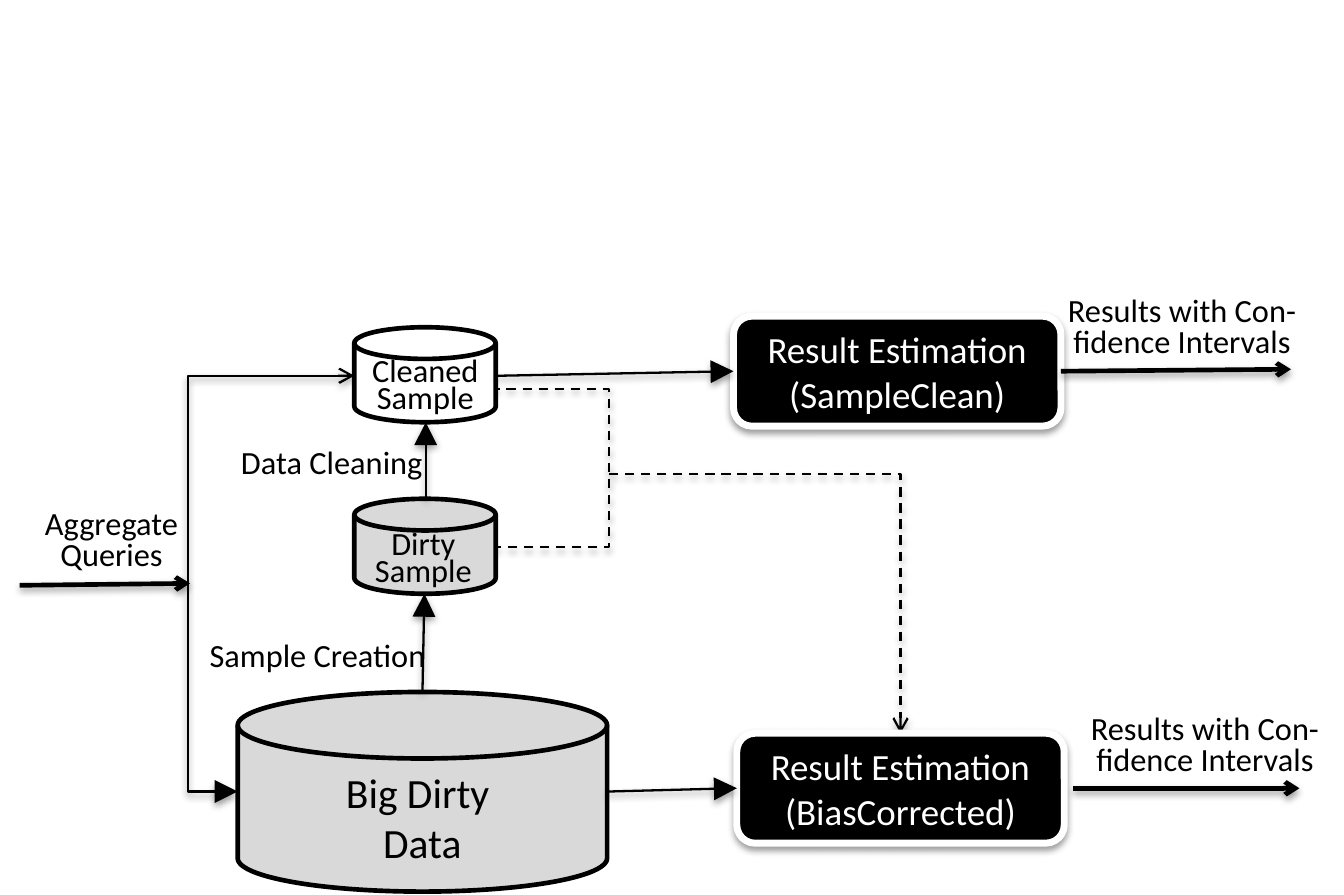
"""Draw the data cleaning and result estimation flow diagram."""
from lxml import etree
from pptx import Presentation
from pptx.dml.color import RGBColor
from pptx.enum.dml import MSO_LINE
from pptx.enum.shapes import MSO_CONNECTOR, MSO_SHAPE
from pptx.enum.text import MSO_ANCHOR, MSO_AUTO_SIZE, PP_ALIGN
from pptx.oxml import parse_xml
from pptx.oxml.ns import nsdecls, qn
from pptx.util import Cm, Pt

COLORS = {"ink": "000000", "dirty": "D9D9D9", "clean": "FFFFFF"}
SIZE = (20.52, 13.67)
RESULTS = ["Results with Con-", "fidence Intervals"]

# name: left, top, width, height, fill, lines
DISKS = {
    "big": (3.63, 10.57, 5.64, 3.05, "dirty", ["Big Dirty ", "Data"]),
    "dirty": (5.41, 7.62, 2.16, 1.45, "dirty", []),
    "cleaned": (5.41, 5, 2.16, 1.45, "clean", []),
}
BOXES = {
    "sampleclean": (11.2, 4.83, 5, 1.68, "ink", ["Result Estimation", "(SampleClean)"]),
    "biascorrected": (11.25, 11.2, 5, 1.68, "ink", ["Result Estimation", "(BiasCorrected)"]),
}
# left, top, width, height, lines, line spacing, wrap
LABELS = [
    (5.08, 8.03, 2.77, 1.12, ["Dirty", "Sample"], 0.7, True),
    (5.11, 5.38, 2.77, 1.12, ["Cleaned", "Sample"], 0.7, True),
    (15.98, 4.42, 4.14, 1.24, RESULTS, 0.8, True),
    (16.33, 10.8, 4.14, 1.24, RESULTS, 0.8, True),
    (0.41, 7.67, 2.59, 1.24, ["Aggregate", "Queries"], 0.8, False),
    (2.95, 9.58, 3.84, 0.86, ["Sample Creation"], 1, False),
    (3.43, 6.63, 3.33, 0.86, ["Data Cleaning"], 1, False),
]
# start, end, x of the middle segment (None: one corner), dashed, head, tail
ELBOWS = [
    ((7.49, 5.94), (7.16, 8.36), 9.3, True, None, None),
    ((9.3, 7.24), (13.75, 11.2), None, True, None, "arrow"),
    ((5.41, 5.74), (3.63, 12.09), 2.87, False, "arrow", "triangle"),
]
# start, end, width, tail; a name and side joins the line to that box
LINES = [
    ((6.45, 10.57), (6.48, 9.07), 1, "triangle"),
    ((6.5, 7.62), (6.5, 6.45), 1, "triangle"),
    ((7.57, 5.74), ("sampleclean", 1), 1, "triangle"),
    ((9.27, 12.09), ("biascorrected", 1), 1, "triangle"),
    ((0.3, 8.94), (2.9, 8.91), 2, "arrow"),
    (("sampleclean", 3), (19.71, 5.64), 2, "arrow"),
    ((16.38, 12.04), (19.84, 12.04), 2, "arrow"),
]


def rgb(name):
    return RGBColor.from_string(COLORS[name])


def add_shadow(sp):
    sp._element.spPr.append(parse_xml(
        f'<a:effectLst {nsdecls("a")}><a:outerShdw blurRad="{Pt(3.1)}" dist="{Pt(1.6)}" '
        f'dir="5400000" rotWithShape="0"><a:srgbClr val="{COLORS["ink"]}">'
        '<a:alpha val="38000"/></a:srgbClr></a:outerShdw></a:effectLst>'))


def write(tf, lines, size, color, align=PP_ALIGN.CENTER, spacing=1):
    for i, line in enumerate(lines):
        p = tf.paragraphs[0] if i == 0 else tf.add_paragraph()
        p.alignment, p.line_spacing = align, spacing
        r = p.add_run()
        r.text = line
        for key, value in {"name": "Calibri", "size": Pt(size)}.items():
            setattr(r.font, key, value)
        r.font.color.rgb = rgb(color)


def add_block(s, kind, spot, line, width, size, ink, anchor):
    *frame, fill, lines = spot
    sp = s.shapes.add_shape(kind, *map(Cm, frame))
    sp.fill.solid()
    sp.fill.fore_color.rgb = rgb(fill)
    sp.line.color.rgb = rgb(line)
    sp.line.width = Pt(width)
    sp.text_frame.vertical_anchor = anchor
    write(sp.text_frame, lines, size, ink)
    return sp


def add_line(s, kind, start, end, width, head=None, tail=None, dashed=False):
    cx = s.shapes.add_connector(kind, *map(Cm, (*start, *end)))
    cx.line.color.rgb = rgb("ink")
    cx.line.width = Pt(width)
    if dashed:
        cx.line.dash_style = MSO_LINE.DASH
    for tag, tip in (("a:headEnd", head), ("a:tailEnd", tail)):
        if tip:
            grade = "lg" if tip == "triangle" else "med"
            etree.SubElement(cx.line._get_or_add_ln(), qn(tag), type=tip, w=grade, len=grade)
    add_shadow(cx)
    return cx


def add_elbow(s, start, end, bend, dashed, head, tail):
    cx = add_line(s, MSO_CONNECTOR.ELBOW, start, end, 1, head, tail, dashed)
    geom = cx._element.spPr.find(qn("a:prstGeom"))
    if bend is None:
        geom.set("prst", "bentConnector2")
    else:
        share = round((bend - start[0]) / (end[0] - start[0]) * 100000)
        etree.SubElement(geom.find(qn("a:avLst")), qn("a:gd"), name="adj1", fmla=f"val {share}")


def add_straight(s, boxes, start, end, width, tail):
    ends = [(0, 0) if spot[0] in boxes else spot for spot in (start, end)]
    cx = add_line(s, MSO_CONNECTOR.STRAIGHT, *ends, width, tail=tail)
    for spot, join in ((start, cx.begin_connect), (end, cx.end_connect)):
        if spot[0] in boxes:
            join(boxes[spot[0]], spot[1])


def add_label(s, left, top, width, height, lines, spacing, wrap):
    tf = s.shapes.add_textbox(*map(Cm, (left, top, width, height))).text_frame
    for key, value in {"word_wrap": wrap, "auto_size": MSO_AUTO_SIZE.SHAPE_TO_FIT_TEXT}.items():
        setattr(tf, key, value)
    align = PP_ALIGN.CENTER if len(lines) > 1 else PP_ALIGN.LEFT
    write(tf, lines, 14, "ink", align, spacing)


def main():
    prs = Presentation()
    prs.slide_width, prs.slide_height = map(Cm, SIZE)
    s = prs.slides.add_slide(prs.slide_layouts[6])
    for elbow in ELBOWS:
        add_elbow(s, *elbow)
    for spot in DISKS.values():
        sp = add_block(s, MSO_SHAPE.FLOWCHART_MAGNETIC_DISK, spot, "ink", 2, 18, "ink", MSO_ANCHOR.TOP)
        sp.shadow.inherit = False
    boxes = {}
    for name, spot in BOXES.items():
        boxes[name] = add_block(s, MSO_SHAPE.ROUNDED_RECTANGLE, spot, "clean", 3, 16, "clean",
                                MSO_ANCHOR.MIDDLE)
        add_shadow(boxes[name])
    for line in LINES:
        add_straight(s, boxes, *line)
    for label in LABELS:
        add_label(s, *label)
    prs.save("out.pptx")


if __name__ == "__main__":
    main()
